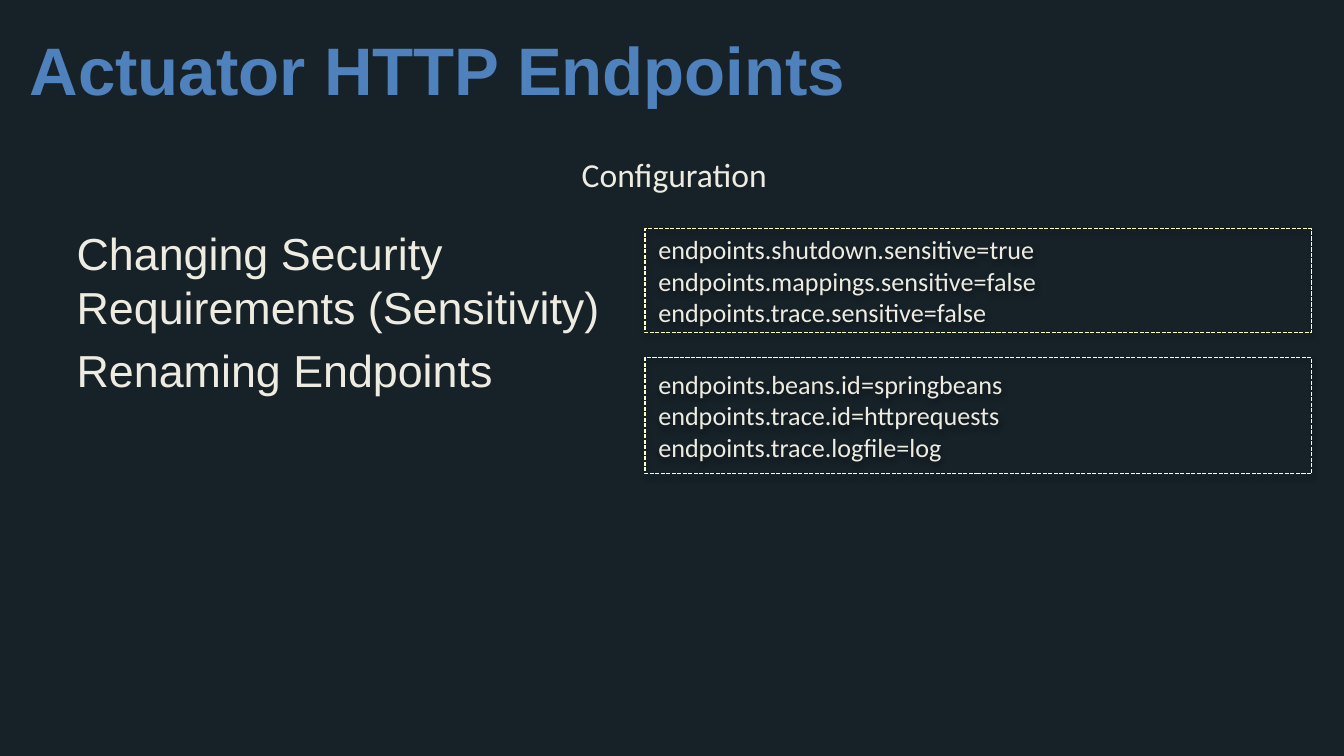
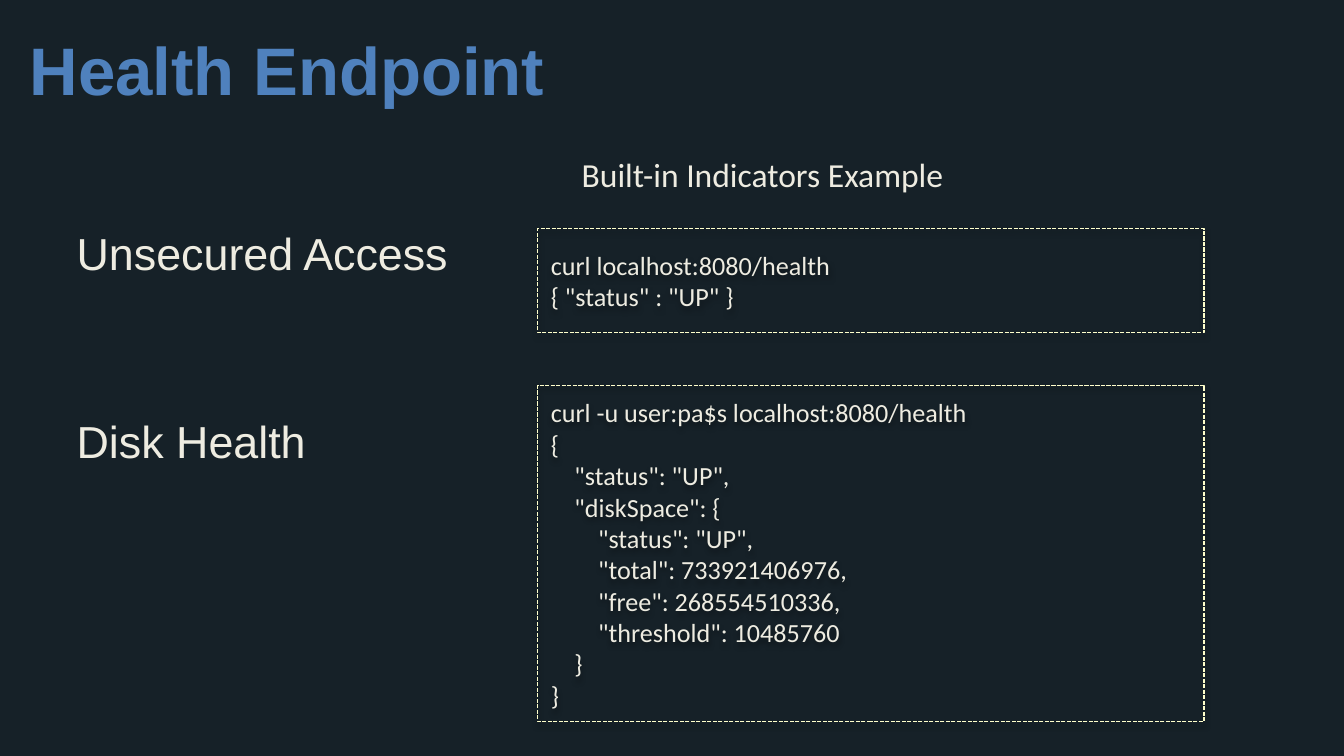
"""Build two dark slides about HTTP endpoints, with code panels beside the topics."""
from dataclasses import dataclass
from typing import Any

from lxml import etree
from pptx import Presentation
from pptx import util as u
from pptx.dml.color import RGBColor
from pptx.enum import dml, shapes, text
from pptx.oxml import parse_xml
from pptx.oxml.ns import nsdecls, qn

BACKGROUND = RGBColor(0x16, 0x21, 0x28)
TITLE_BLUE = RGBColor(0x4F, 0x81, 0xBD)
CREAM = RGBColor(0xEE, 0xEC, 0xE1)
PANEL_LINE = RGBColor(0xFF, 0xFF, 0xCC)

CELL = u.Inches(0.1)
COLUMNS, ROWS = 100, 56.25
CODE_INDENT = 1.76
PANEL_WIDTH = 49.6

TITLE_FONT = {"name": "Arial", "size": u.Pt(36), "bold": True}
TOPIC_FONT = {"name": "Arial", "size": u.Pt(24), "bold": False}
CODE_FONT = {"name": "Calibri", "size": u.Pt(14)}
CAPTION_FONT = {"name": "Calibri", "size": u.Pt(18)}


def cells(count: float) -> int:
    return round(count * CELL)


@dataclass(frozen=True)
class Area:
    column: float
    row: float
    width: float
    height: float

    def lengths(self) -> dict[str, int]:
        return {"left": cells(self.column), "top": cells(self.row),
                "width": cells(self.width), "height": cells(self.height)}


@dataclass(frozen=True)
class Line:
    text: str
    level: int = 0
    space_before: float = 0


@dataclass(frozen=True)
class Panel:
    area: Area
    lines: list[Line]


@dataclass(frozen=True)
class Page:
    title: str
    caption: str
    caption_width: float
    topics: list[Line]
    panels: list[Panel]


TITLE_AREA = Area(1.2, 1.6, 96.2, 5.2)
BODY_AREA = Area(4.7, 10.94, 43.3, 44.4)

PAGES = [
    Page(
        "Actuator HTTP Endpoints", "Configuration", 16,
        [Line("Changing Security Requirements (Sensitivity)"),
         Line("Renaming Endpoints", space_before=5.3)],
        [Panel(Area(48, 17.02, PANEL_WIDTH, 7.74),
               [Line("endpoints.shutdown.sensitive=true"),
                Line("endpoints.mappings.sensitive=false"),
                Line("endpoints.trace.sensitive=false")]),
         Panel(Area(48, 26.6, PANEL_WIDTH, 8.64),
               [Line("endpoints.beans.id=springbeans"),
                Line("endpoints.trace.id=httprequests"),
                Line("endpoints.trace.logfile=log")])]),
    Page(
        "Health Endpoint", "Built-in Indicators Example", 29.4,
        [Line("Unsecured Access"), Line("Disk Health", space_before=72)],
        [Panel(Area(40, 17.02, PANEL_WIDTH, 7.74),
               [Line("curl localhost:8080/health"),
                Line('{ "status" : "UP" }')]),
         Panel(Area(40, 28.7, PANEL_WIDTH, 25),
               [Line("curl -u user:pa$s localhost:8080/health"),
                Line("{"),
                Line('"status": "UP",', 1),
                Line('"diskSpace": {', 1),
                Line('"status": "UP",', 2),
                Line('"total": 733921406976,', 2),
                Line('"free": 268554510336,', 2),
                Line('"threshold": 10485760', 2),
                Line("}", 1),
                Line("}")])]),
]


def apply(target: Any, values: dict[str, Any]) -> None:
    for name, value in values.items():
        setattr(target, name, value)


def write(shape: Any, lines: list[Line], font: dict[str, Any], color: RGBColor,
          **frame_values: Any) -> None:
    """Fill a shape with unbulleted, left-aligned lines."""
    frame = shape.text_frame
    apply(frame, {"word_wrap": True, "auto_size": text.MSO_AUTO_SIZE.NONE,
                  "vertical_anchor": text.MSO_ANCHOR.TOP} | frame_values)
    for index, line in enumerate(lines):
        paragraph = frame.add_paragraph() if index else frame.paragraphs[0]
        apply(paragraph, {"alignment": text.PP_ALIGN.LEFT,
                          "space_before": u.Pt(line.space_before)})
        properties = paragraph._p.get_or_add_pPr()
        properties.set("marL", str(cells(line.level * CODE_INDENT)))
        properties.set("indent", "0")
        etree.SubElement(properties, qn("a:buNone"))
        run = paragraph.add_run()
        run.text = line.text
        apply(run.font, font)
        run.font.color.rgb = color


def add_panel(slide: Any, panel: Panel) -> None:
    """Draw a dashed, unfilled code panel with a soft shadow."""
    shape = slide.shapes.add_shape(shapes.MSO_SHAPE.RECTANGLE, **panel.area.lengths())
    shape.fill.background()
    shape.line.color.rgb = PANEL_LINE
    apply(shape.line, {"width": u.Pt(0.75), "dash_style": dml.MSO_LINE.SQUARE_DOT})
    shape.shadow.inherit = False
    shape._element.spPr.find(qn("a:effectLst")).append(parse_xml(
        f'<a:outerShdw {nsdecls("a")} blurRad="{u.Pt(3.1)}" dist="{u.Pt(1.8)}" '
        'dir="5400000" rotWithShape="0"><a:srgbClr val="000000">'
        '<a:alpha val="35000"/></a:srgbClr></a:outerShdw>'))
    write(shape, panel.lines, CODE_FONT, CREAM, vertical_anchor=text.MSO_ANCHOR.MIDDLE)


def add_page(presentation: Any, page: Page) -> None:
    """Add a slide with its title, topics, caption and panels."""
    slide = presentation.slides.add_slide(presentation.slide_layouts[1])
    title, body = slide.shapes.title, slide.placeholders[1]
    apply(title, TITLE_AREA.lengths())
    apply(body, BODY_AREA.lengths())
    write(title, [Line(page.title)], TITLE_FONT, TITLE_BLUE, margin_top=cells(0.5))
    write(body, page.topics, TOPIC_FONT, CREAM, margin_top=cells(5.84))
    for panel in page.panels:
        add_panel(slide, panel)
    caption_area = Area(42.3, BODY_AREA.row, page.caption_width, 4)
    caption = slide.shapes.add_textbox(**caption_area.lengths())
    write(caption, [Line(page.caption)], CAPTION_FONT, CREAM, word_wrap=False,
          auto_size=text.MSO_AUTO_SIZE.SHAPE_TO_FIT_TEXT)


def main() -> None:
    """Build and save the presentation."""
    presentation = Presentation()
    apply(presentation, {"slide_width": cells(COLUMNS), "slide_height": cells(ROWS)})
    background = presentation.slide_master.background.fill
    background.solid()
    background.fore_color.rgb = BACKGROUND
    for page in PAGES:
        add_page(presentation, page)
    presentation.save("out.pptx")


main()
